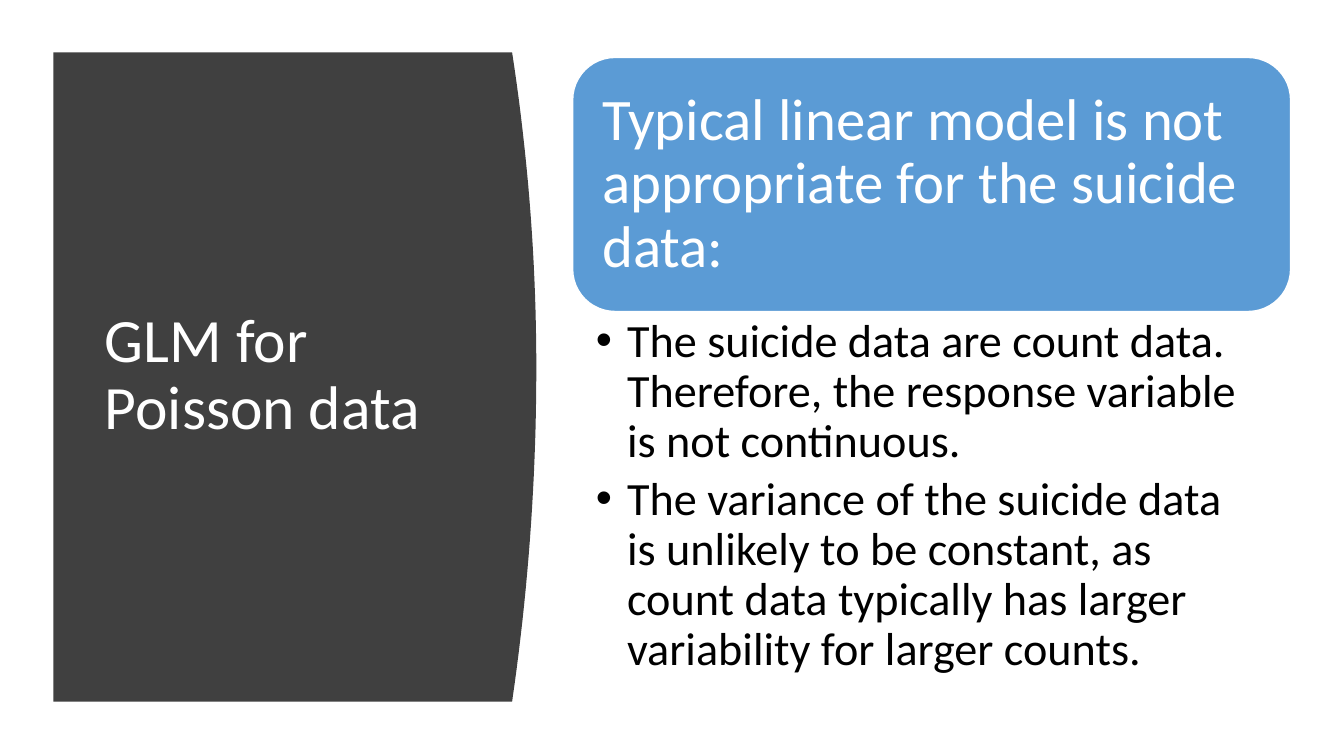
import pptx
import pptx.dml.color
import pptx.enum.shapes
import pptx.enum.text
import pptx.oxml
import pptx.oxml.ns
import pptx.util
from pptx.util import Inches

COLORS = {"panel": "404040", "card": "5B9BD5", "light": "FFFFFF", "dark": "000000"}
BULLETS = [
    "The suicide data are count data. Therefore, the response variable is not continuous.",
    "The variance of the suicide data is unlikely to be constant, as count data "
    "typically has larger variability for larger counts.",
]


def color(name):
    return pptx.dml.color.RGBColor.from_string(COLORS[name])


def write(para, text, size, color_name):
    """Add one left-aligned run with tight line spacing."""
    para.alignment = pptx.enum.text.PP_ALIGN.LEFT
    para.line_spacing = 0.9
    para.space_before = pptx.util.Pt(0)
    span = para.add_run()
    span.text = text
    span.font.name = "Calibri"
    span.font.size = pptx.util.Pt(size)
    span.font.color.rgb = color(color_name)


deck = pptx.Presentation()
deck.slide_width = Inches(13.33)
deck.slide_height = Inches(7.5)
page = deck.slides.add_slide(deck.slide_layouts[1])
title, body = page.placeholders

# Dark panel whose right edge is a shallow parabola
left, top, bottom = 0.53, 0.52, 6.96
edge, bulge, middle, steps = 5.08, 0.24, 3.65, 40
curve = []
for step in range(steps + 1):
    y = top + (bottom - top) * step / steps
    reach = middle - top if y < middle else bottom - middle
    x = edge + bulge * (1 - ((y - middle) / reach) ** 2)
    curve.append((Inches(x), Inches(y)))
outline = page.shapes.build_freeform(Inches(left), Inches(top))
outline.add_line_segments(curve + [(Inches(left), Inches(bottom))], close=True)
panel = outline.convert_to_shape()
panel.shadow.inherit = False
panel.fill.solid()
panel.fill.fore_color.rgb = color("panel")
panel.line.fill.background()

# Title, brought in front of the panel
title.element.getparent().append(title.element)
title.left, title.top = Inches(0.94), Inches(1.11)
title.width, title.height = Inches(3.74), Inches(5.24)
title.text_frame.auto_size = pptx.enum.text.MSO_AUTO_SIZE.NONE
title.text_frame.vertical_anchor = pptx.enum.text.MSO_ANCHOR.MIDDLE
write(title.text_frame.paragraphs[0], "GLM for Poisson data", 44, "light")

# Heading card
card = page.shapes.add_shape(
    pptx.enum.shapes.MSO_SHAPE.ROUNDED_RECTANGLE,
    Inches(5.68), Inches(0.57), Inches(7.12), Inches(2.52))
card.shadow.inherit = False
card.fill.solid()
card.fill.fore_color.rgb = color("card")
card.line.color.rgb = color("light")
card.line.width = pptx.util.Pt(1)
frame = card.text_frame
frame.word_wrap = True
frame.vertical_anchor = pptx.enum.text.MSO_ANCHOR.MIDDLE
# The rounded corners already inset the text by 0.12 inch
frame.margin_left = frame.margin_right = Inches(0.17)
frame.margin_top = frame.margin_bottom = Inches(0.17)
write(frame.paragraphs[0],
      "Typical linear model is not appropriate for the suicide data:", 42, "light")

# Bulleted reasons
body.left, body.top = Inches(5.68), Inches(3.09)
body.width, body.height = Inches(7.12), Inches(3.8)
frame = body.text_frame
frame.auto_size = pptx.enum.text.MSO_AUTO_SIZE.NONE
frame.vertical_anchor = pptx.enum.text.MSO_ANCHOR.TOP
frame.margin_left, frame.margin_right = Inches(0.23), Inches(0.33)
frame.margin_top = frame.margin_bottom = Inches(0.06)
for index, reason in enumerate(BULLETS):
    para = frame.add_paragraph() if index else frame.paragraphs[0]
    properties = para._p.get_or_add_pPr()
    properties.set("marL", str(Inches(0.31)))
    properties.set("indent", str(-Inches(0.31)))
    properties.append(pptx.oxml.parse_xml(
        f'<a:buChar {pptx.oxml.ns.nsdecls("a")} char="•"/>'))
    write(para, reason, 33, "dark")
    para.space_after = pptx.util.Pt(6)

deck.save("out.pptx")
